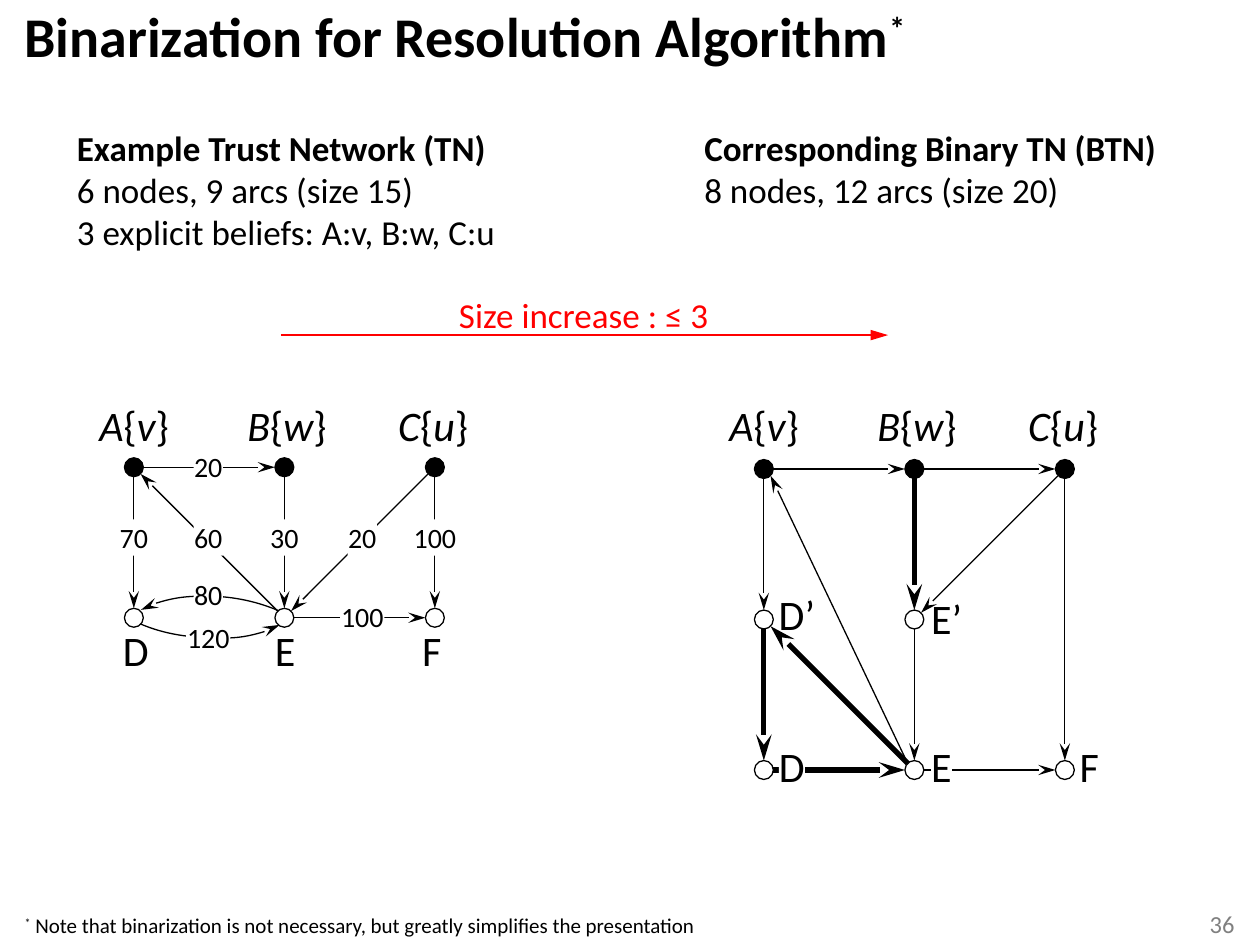
from lxml import etree
from pptx import Presentation
from pptx.dml.color import RGBColor
from pptx.enum.shapes import MSO_CONNECTOR, MSO_SHAPE
from pptx.enum.text import MSO_ANCHOR, MSO_AUTO_SIZE, PP_ALIGN
from pptx.oxml.ns import qn
from pptx.util import Pt

STRAIGHT, OVAL = MSO_CONNECTOR.STRAIGHT, MSO_SHAPE.OVAL
TOP, GROW = MSO_ANCHOR.TOP, MSO_AUTO_SIZE.SHAPE_TO_FIT_TEXT
LEFT, CENTER, RIGHT = PP_ALIGN.LEFT, PP_ALIGN.CENTER, PP_ALIGN.RIGHT
FONT = "Calibri"
BLACK, WHITE, RED, GREY = "000000", "FFFFFF", "FF0000", "808080"
RADIUS, STEP = 5.4, 86
THIN, BOLD = 0.75, 3


def color(value):
    return RGBColor.from_string(value)


def style(span, size, ink=BLACK, bold=False, italic=False):
    font = span.font
    font.name, font.size = FONT, Pt(size)
    font.bold, font.italic = bold, italic
    font.color.rgb = color(ink)


def superscript(span):
    span.font._element.set("baseline", "30000")


def prepare_frame(frame, margin=0, wrap=False):
    frame.margin_left = frame.margin_right = 0
    frame.margin_top = frame.margin_bottom = Pt(margin)
    frame.vertical_anchor = TOP
    frame.word_wrap = wrap


def add_text(page, left, top, width, height, lines, size,
             ink=BLACK, align=LEFT, bold_first=False, wrap=True):
    box = page.shapes.add_textbox(Pt(left), Pt(top), Pt(width), Pt(height))
    frame = box.text_frame
    prepare_frame(frame, wrap=wrap)
    frame.auto_size = GROW
    frame.text = "\n".join(lines)
    for index, para in enumerate(frame.paragraphs):
        para.alignment = align
        for span in para.runs:
            style(span, size, ink, bold=bold_first and index == 0)
    return box


def add_label(page, left, top, width, text, size, align=LEFT):
    """White-backed label; names such as A{v} have italic letters."""
    box = add_text(page, left, top, width, size * 1.3, [text], size, align=align)
    prepare_frame(box.text_frame, margin=0.5)
    box.fill.solid()
    box.fill.fore_color.rgb = color(WHITE)
    if "{" in text:
        para = box.text_frame.paragraphs[0]
        para.text = ""
        for letter in text:
            span = para.add_run()
            span.text = letter
            style(span, size, italic=letter.isalpha())


def add_weight(page, center, top, text):
    width = 8.4 * len(text)
    add_label(page, center - width / 2, top, width, text, 16, CENTER)


def add_node(page, center, filled):
    x, y = center
    node = page.shapes.add_shape(OVAL, Pt(x - RADIUS), Pt(y - RADIUS),
                                 Pt(2 * RADIUS), Pt(2 * RADIUS))
    node.shadow.inherit = False
    node.fill.solid()
    node.fill.fore_color.rgb = color(BLACK if filled else WHITE)
    node.line.color.rgb = color(BLACK)
    node.line.width = Pt(THIN)


def finish_arrow(shape, head, ink, weight):
    shape.line.color.rgb = color(ink)
    shape.line.width = Pt(weight)
    properties = shape.element.spPr
    etree.SubElement(properties.find(qn("a:ln")), qn("a:tailEnd"),
                     type=head, w="med", len="lg")
    if properties.find(qn("a:effectLst")) is None:
        etree.SubElement(properties, qn("a:effectLst"))


def add_arrow(page, start, end, weight=THIN, ink=BLACK, head="stealth"):
    line = page.shapes.add_connector(STRAIGHT, *map(Pt, start + end))
    finish_arrow(line, head, ink, weight)


def add_edge(page, start, end, weight=THIN):
    """Arrow between the rims of two nodes, in one of eight directions."""
    signs = [(b > a) - (b < a) for a, b in zip(start, end)]
    reach = RADIUS / (abs(signs[0]) + abs(signs[1])) ** 0.5
    add_arrow(page,
              tuple(a + reach * s for a, s in zip(start, signs)),
              tuple(b - reach * s for b, s in zip(end, signs)), weight)


def add_curve(page, points):
    """Arrow along cubic curves: a start, then three points per curve."""
    points = [(Pt(x), Pt(y)) for x, y in points]
    builder = page.shapes.build_freeform(*points[0])
    builder.add_line_segments(points[1:], close=False)
    curve = builder.convert_to_shape()
    outline = next(curve.element.iter(qn("a:path")))
    segments = outline.findall(qn("a:lnTo"))
    for index in range(0, len(segments), 3):
        bend = etree.SubElement(outline, qn("a:cubicBezTo"))
        for segment in segments[index:index + 3]:
            bend.append(segment[0])
            outline.remove(segment)
    curve.shadow.inherit = False
    curve.fill.background()
    finish_arrow(curve, "stealth", BLACK, THIN)


def make_grid(left, top, rows):
    """Node centres by name; each row is a string of names."""
    return {name: (left + STEP * col, top + STEP * row)
            for row, names in enumerate(rows) for col, name in enumerate(names)}


def add_network(page, nodes, edges):
    for name, center in nodes.items():
        add_node(page, center, filled=name in "ABC")
    for start, end, weight in edges:
        add_edge(page, nodes[start], nodes[end], weight)


def add_belief_names(page, nodes):
    for text, shift, width in (("A{v}", -19.7, 42), ("B{w}", -21.2, 48), ("C{u}", -21, 43)):
        add_label(page, nodes[text[0]][0] + shift, 227.8, width, text, 24)


def add_trust_network(page):
    nodes = make_grid(76.5, 267, ["ABC", "DEF"])
    for name, shift, width in (("D", -6.3, 15), ("E", -5.5, 12), ("F", -7.3, 12)):
        add_label(page, nodes[name][0] + shift, 356.2, width, name, 24)
    add_curve(page, [(159.8, 349.2), (144.7, 342.7), (130.3, 340.6), (117.4, 340.6),
                     (103.7, 340.6), (86.4, 344.2), (80.6, 348.5)])
    add_curve(page, [(79.9, 356.4), (95, 362.9), (109.4, 364.3), (123.1, 364.6),
                     (136.1, 365), (154.1, 361.4), (159.8, 357.1)])
    add_network(page, nodes, [(*pair, THIN) for pair in
                              ("AD", "BE", "CF", "AB", "EF", "CE", "EA")])
    for center, top, text in (
            (76.5, 296.8, "70"), (119, 296.8, "60"), (162.5, 296.8, "30"),
            (207, 296.8, "20"), (248.5, 296.8, "100"), (119, 256.2, "20"),
            (119, 329.7, "80"), (119, 354.1, "120"), (207, 341.9, "100")):
        add_weight(page, center, top, text)
    add_belief_names(page, nodes)


def add_binary_network(page):
    # The lower-case names d and e stand for the added nodes D’ and E’
    nodes = make_grid(436.5, 268, ["ABC", "de", "DEF"])
    add_label(page, 445, 335.8, 21.5, "D’", 24)
    add_label(page, 532, 338, 18, "E’", 24)
    add_network(page, nodes, [
        ("A", "B", THIN), ("B", "C", THIN), ("A", "d", THIN), ("B", "e", BOLD),
        ("C", "F", THIN), ("C", "e", THIN), ("d", "D", BOLD), ("e", "E", THIN),
        ("D", "E", BOLD), ("E", "F", THIN), ("E", "d", BOLD), ("E", "A", THIN)])
    for name, shift, width in (("D", 8.5, 15), ("E", 9.5, 12), ("F", 8.5, 12)):
        add_label(page, nodes[name][0] + shift, 422.8, width, name, 24)
    add_belief_names(page, nodes)


def add_title(page):
    title = page.shapes.title
    title.left, title.top = Pt(14), Pt(1)
    title.width, title.height = Pt(516), Pt(39)
    prepare_frame(title.text_frame, wrap=True)
    para = title.text_frame.paragraphs[0]
    para.text = "Binarization for Resolution Algorithm"
    para.alignment = LEFT
    star = para.add_run()
    star.text = "*"
    for span in para.runs:
        style(span, 32, bold=True)
    superscript(star)


def add_footer(page):
    note = add_text(page, 14, 521.5, 420, 14.4, ["*"], 12)
    para = note.text_frame.paragraphs[0]
    superscript(para.runs[0])
    span = para.add_run()
    span.text = " Note that binarization is not necessary, but greatly simplifies the presentation"
    style(span, 12)
    add_text(page, 689, 519.3, 16.5, 17, ["36"], 14, GREY, RIGHT, wrap=False)


def main():
    deck = Presentation()
    deck.slide_width, deck.slide_height = Pt(720), Pt(540)
    page = deck.slides.add_slide(deck.slide_layouts[5])
    add_title(page)
    # Network descriptions
    add_text(page, 44, 72, 260, 73, ["Example Trust Network (TN)", "6 nodes, 9 arcs (size 15)",
                                     "3 explicit beliefs: A:v, B:w, C:u"], 20, bold_first=True)
    add_text(page, 402.5, 72, 280, 48.5, ["Corresponding Binary TN (BTN)",
                                          "8 nodes, 12 arcs (size 20)"], 20, bold_first=True)
    # Transformation arrow
    add_arrow(page, (160.5, 191.5), (507.5, 191.5), 1.5, RED, "triangle")
    add_text(page, 262.3, 167.5, 160, 24.4, ["Size increase : ≤ 3"], 20, RED)
    # Graphs
    add_trust_network(page)
    add_binary_network(page)
    add_footer(page)
    deck.save("out.pptx")


if __name__ == "__main__":
    main()
